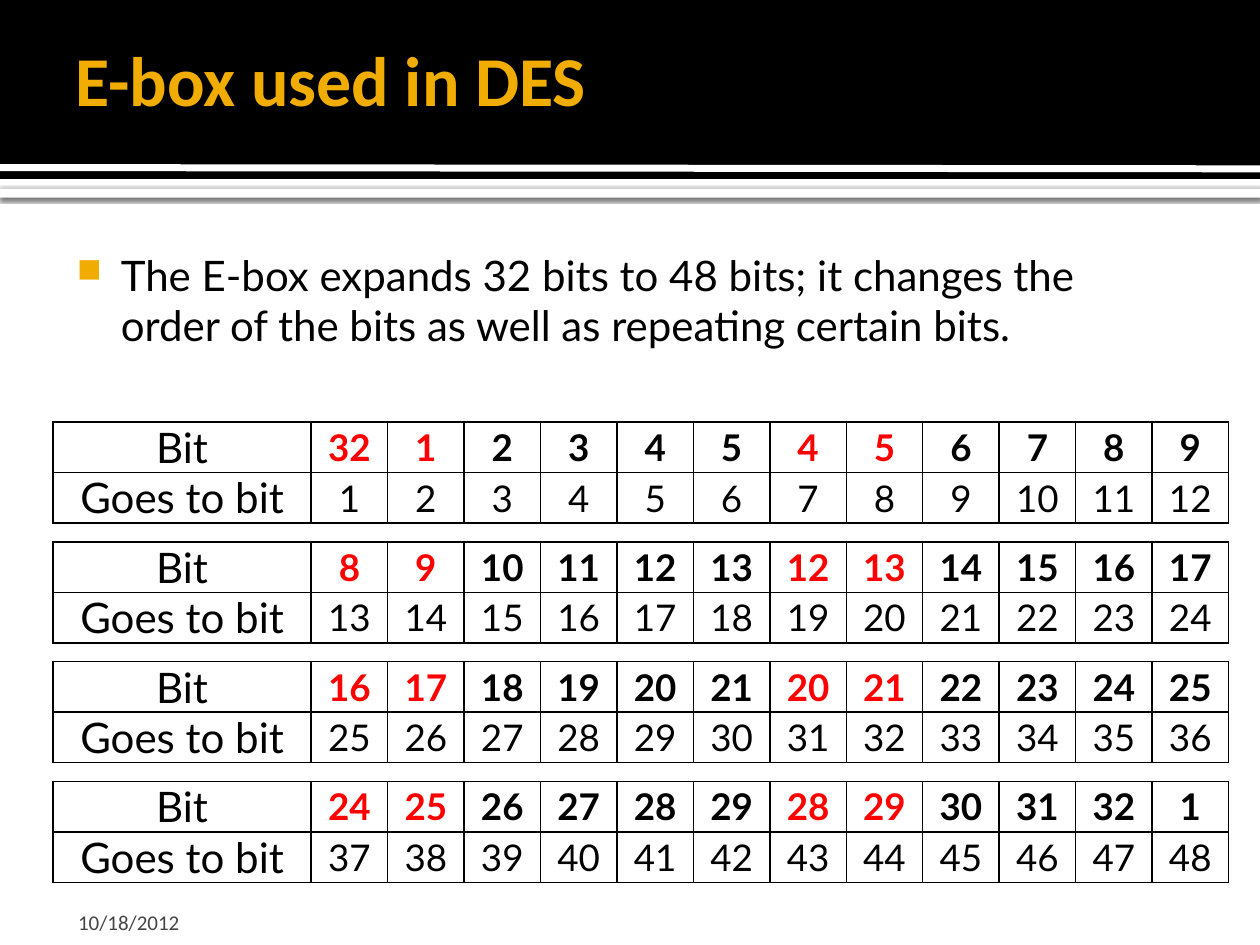
from lxml import etree
from pptx import Presentation
from pptx.dml.color import RGBColor
from pptx.enum.shapes import MSO_CONNECTOR, MSO_SHAPE
from pptx.enum.text import MSO_ANCHOR, PP_ALIGN
from pptx.oxml.ns import qn
from pptx.util import Inches, Pt

LINE = MSO_CONNECTOR.STRAIGHT
RECT = MSO_SHAPE.RECTANGLE
TOP, MID, LOW = MSO_ANCHOR.TOP, MSO_ANCHOR.MIDDLE, MSO_ANCHOR.BOTTOM
MIDDLE = PP_ALIGN.CENTER

TITLE = "E-box used in DES"
BODY = ("The E-box expands 32 bits to 48 bits; it changes the order of the bits "
        "as well as repeating certain bits.")
DATE = "10/18/2012"
LABELS = ("Bit", "Goes to bit")
STEPS = (0, 1, 2, 3, 4, 5, 4, 5, 6, 7, 8, 9)
REPEATS = (0, 1, 6, 7)
BLOCKS = 4
BITS = 32

COLORS = {"black": "000000", "white": "FFFFFF", "gold": "F0AD00",
          "red": "FF0000", "grey": "454545"}
ROW, GAP = 0.4, 0.15
LABEL_W, BIT_W = 2.05, 0.607


def color(name):
    return RGBColor.from_string(COLORS[name])


def add(parent, tag, **attrs):
    return etree.SubElement(parent, qn(tag), {k: str(v) for k, v in attrs.items()})


def style(para, size, face, ink, bold=False):
    font = para.font
    font.size, font.name, font.bold = Pt(size), face, bold
    font.color.rgb = color(ink)


def bar(slide, top, height, ink):
    shape = slide.shapes.add_shape(RECT, 0, Inches(top), Inches(10), Inches(height))
    shape.shadow.inherit = False
    shape.fill.solid()
    shape.fill.fore_color.rgb = color(ink)
    shape.line.fill.background()
    return shape


def write(slide, box, text, insets, anchor):
    frame = slide.shapes.add_textbox(*map(Inches, box)).text_frame
    frame.word_wrap = True
    frame.vertical_anchor = anchor
    (frame.margin_left, frame.margin_top,
     frame.margin_right, frame.margin_bottom) = map(Inches, insets)
    para = frame.paragraphs[0]
    para.text = text
    return para


def bullet(para, left, hang, ink):
    props = para._p.get_or_add_pPr()
    props.set("marL", str(Inches(left)))
    props.set("indent", str(Inches(-hang)))
    add(add(props, "a:buClr"), "a:srgbClr", val=COLORS[ink])
    add(props, "a:buSzPct", val=80000)
    add(props, "a:buChar", char="■")


def border(cell, sides):
    props = cell._tc.get_or_add_tcPr()
    for side in ("L", "R", "T", "B"):
        if side in sides:
            edge = add(props, "a:ln" + side, w=Pt(1))
            add(add(edge, "a:solidFill"), "a:srgbClr", val=COLORS["black"])
        else:
            add(add(props, "a:ln" + side, w=0), "a:noFill")


def fill_cell(cell, text, size, ink="black", bold=False):
    para = cell.text_frame.paragraphs[0]
    para.text = str(text)
    para.alignment = MIDDLE
    style(para, size, "Lato", ink, bold)


def bit_table(slide):
    rows, cols = BLOCKS * 3 - 1, len(STEPS) + 1
    width, height = LABEL_W + BIT_W * len(STEPS), BLOCKS * 2 * ROW + (BLOCKS - 1) * GAP
    frame = slide.shapes.add_table(rows, cols, Inches(0.42), Inches(3.35),
                                   Inches(width), Inches(height))
    table = frame.table
    table.first_row = table.horz_banding = False
    for i, col in enumerate(table.columns):
        col.width = Inches(BIT_W if i else LABEL_W)
    for r, row in enumerate(table.rows):
        gap = r % 3 == 2
        row.height = Inches(GAP if gap else ROW)
        for cell in row.cells:
            cell.margin_left = cell.margin_right = 0
            cell.margin_top = cell.margin_bottom = 0
            cell.vertical_anchor = MID
            border(cell, "TB" if gap else "LRTB")
            cell.fill.background()
            if gap:
                add(cell.text_frame.paragraphs[0]._p, "a:endParaRPr", sz=400)
        if gap:
            table.cell(r, 0).merge(table.cell(r, cols - 1))
    for b in range(BLOCKS):
        for k, label in enumerate(LABELS):
            fill_cell(table.cell(b * 3 + k, 0), label, 24)
        for i, step in enumerate(STEPS):
            source = (b * 8 + step - 1) % BITS + 1
            ink = "red" if i in REPEATS else "black"
            fill_cell(table.cell(b * 3, i + 1), source, 21, ink, True)
            fill_cell(table.cell(b * 3 + 1, i + 1), b * len(STEPS) + i + 1, 21)


def header(slide):
    strip = bar(slide, 1.5, 0.07, "white")
    effects = strip._element.spPr.find(qn("a:effectLst"))
    shade = add(effects, "a:outerShdw", blurRad=Pt(2.5), dist=Pt(0.8),
                dir=5400000, algn="tl", rotWithShape=0)
    add(add(shade, "a:srgbClr", val=COLORS["black"]), "a:alpha", val=60000)
    bar(slide, 0, 1.42, "black")
    rule = slide.shapes.add_connector(LINE, 0, Inches(1.33), Inches(10), Inches(1.34))
    rule.line.color.rgb = color("white")
    rule.line.width = Pt(4)
    add(rule._element.spPr, "a:effectLst")


def main():
    deck = Presentation()
    deck.slide_width, deck.slide_height = Inches(10), Inches(7.5)
    slide = deck.slides.add_slide(deck.slide_layouts[6])
    header(slide)
    bit_table(slide)
    date = write(slide, (0.5, 7.12, 2.33, 0.3), DATE, (0.12, 0.05, 0.05, 0), LOW)
    style(date, 12, "Calibri", "grey")
    title = write(slide, (0.5, 0.08, 8.25, 1.08), TITLE, (0.1, 0.05, 0.05, 0.05), MID)
    style(title, 40, "Calibri", "gold", True)
    body = write(slide, (0.42, 1.88, 9, 1.44), BODY, (0.06, 0.1, 0.1, 0.05), TOP)
    bullet(body, 0.48, 0.35, "gold")
    style(body, 24, "Lato", "black")
    deck.save("out.pptx")


if __name__ == "__main__":
    main()
